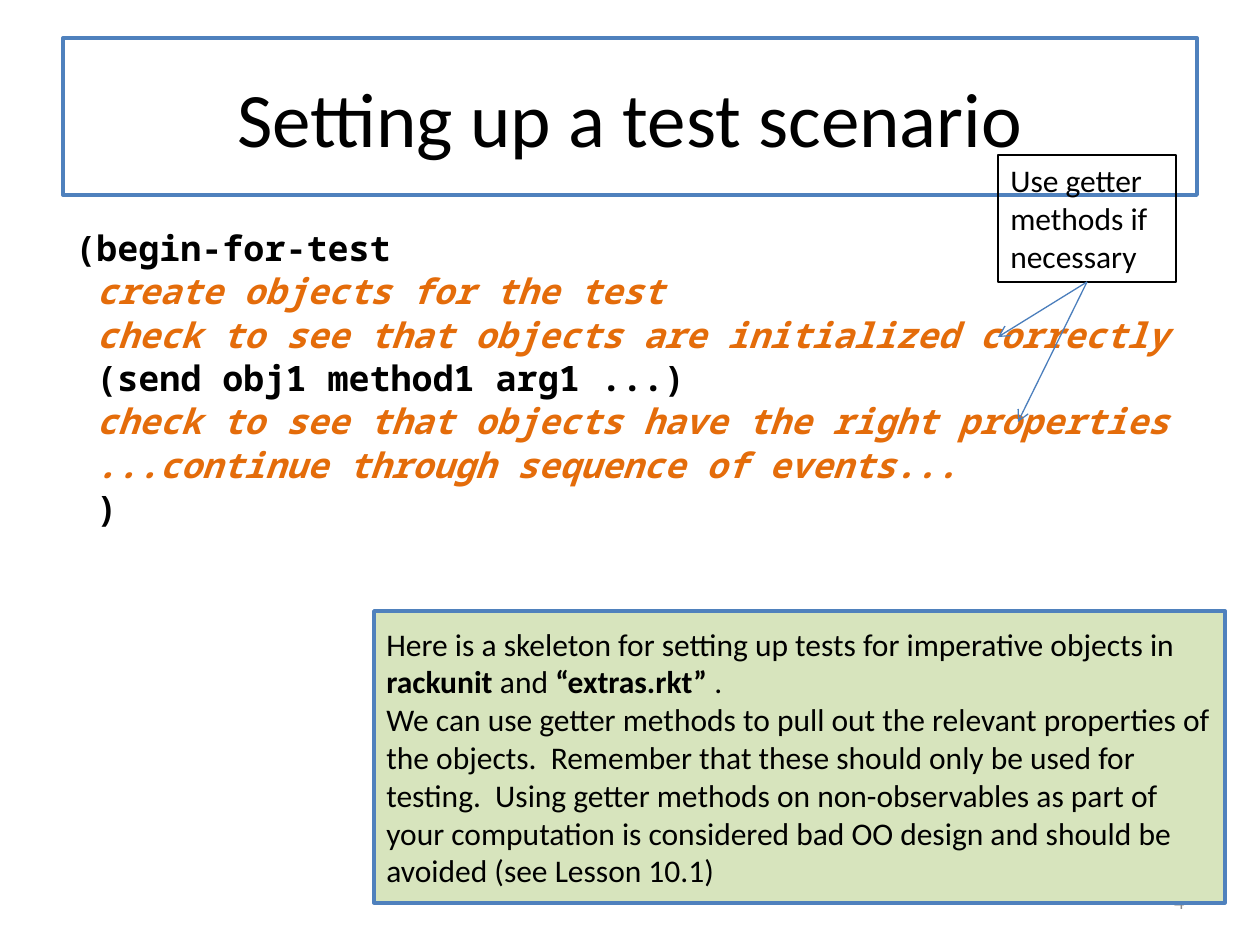
from lxml import etree
from pptx import Presentation
from pptx.dml.color import RGBColor
from pptx.enum.shapes import MSO_CONNECTOR, MSO_SHAPE
from pptx.enum.text import MSO_ANCHOR, PP_ALIGN
from pptx.oxml.ns import qn
from pptx.util import Pt

RECT, LINE = MSO_SHAPE.RECTANGLE, MSO_CONNECTOR.STRAIGHT
TOP, MID = MSO_ANCHOR.TOP, MSO_ANCHOR.MIDDLE
LEFT, MIDST, RIGHT = PP_ALIGN.LEFT, PP_ALIGN.CENTER, PP_ALIGN.RIGHT
PX = 914400 / 126
BLACK, BLUE, ORANGE = "000000", "4F81BD", "E46C0A"

TITLE = "Setting up a test scenario"
HINT = "Use getter methods if necessary"
CODE = [
    ("(begin-for-test", False),
    (" create objects for the test", True),
    (" check to see that objects are initialized correctly", True),
    (" (send obj1 method1 arg1 ...)", False),
    (" check to see that objects have the right properties", True),
    (" ...continue through sequence of events...", True),
    (" )", False),
]
NOTE = [
    [("Here is a skeleton for setting up tests for imperative objects in ", {}),
     ("rackunit", {"bold": True}), (" and ", {}),
     ("“extras.rkt”", {"bold": True}), (" .", {})],
    [("We can use getter methods to pull out the relevant properties of the "
      "objects.  Remember that these should only be used for testing.  Using "
      "getter methods on non-observables as part of your computation is "
      "considered bad OO design and should be avoided (see Lesson 10.1)", {})],
]
TIPS = [(998, 337), (1018, 422)]


def px(*nums):
    return [round(n * PX) for n in nums]


def color(code):
    return RGBColor.from_string(code)


def write(shape, paras, size, font="Calibri", align=LEFT, anchor=TOP, before=0):
    """Fill a shape with paragraphs, each a list of (text, style) runs."""
    frame = shape.text_frame
    frame.word_wrap = True
    frame.vertical_anchor = anchor
    for i, runs in enumerate(paras):
        para = frame.add_paragraph() if i else frame.paragraphs[0]
        para.alignment = align
        para.space_before = Pt(before)
        for text, style in runs:
            run = para.add_run()
            run.text = text
            face = run.font
            face.name, face.size = font, Pt(size)
            face.bold = style.get("bold", False)
            face.italic = style.get("italic", False)
            face.color.rgb = color(style.get("color", BLACK))


def box(slide, spot, line, width, fill=None):
    shape = slide.shapes.add_shape(RECT, *px(*spot))
    shape.shadow.inherit = False
    if fill:
        shape.fill.solid()
        shape.fill.fore_color.rgb = color(fill)
    else:
        shape.fill.background()
    shape.line.color.rgb = color(line)
    shape.line.width = Pt(width)
    return shape


def arrow(slide, start, tip):
    link = slide.shapes.add_connector(LINE, 0, 0, *px(*tip))
    link.begin_connect(start, 2)
    link.line.color.rgb = color("4B7EBC")
    link.line.width = Pt(0.75)
    props = link.line._get_or_add_ln()
    etree.SubElement(props, qn("a:tailEnd"), type="arrow")
    etree.SubElement(link._element.spPr, qn("a:effectLst"))


def main():
    deck = Presentation()
    deck.slide_width, deck.slide_height = px(1260, 945)
    slide = deck.slides.add_slide(deck.slide_layouts[6])

    title = box(slide, (63, 38, 1134, 157), BLUE, 2.25, "FFFFFF")
    write(title, [[(TITLE, {})]], 44, align=MIDST, anchor=MID)

    code = slide.shapes.add_textbox(*px(63, 220, 1134, 624))
    styles = {False: {"bold": True},
              True: {"bold": True, "italic": True, "color": ORANGE}}
    write(code, [[(text, styles[todo])] for text, todo in CODE],
          20, font="Noto Sans Mono", before=0.8)

    page = slide.shapes.add_textbox(*px(903, 876, 294, 50))
    write(page, [[("4", {"color": "8C8C8C"})]], 12, align=RIGHT, anchor=MID)

    hint = box(slide, (998, 155, 178, 127), BLACK, 0.75)
    write(hint, [[(HINT, {})]], 18)
    for tip in TIPS:
        arrow(slide, hint, tip)

    note = box(slide, (374, 611, 851, 292), BLUE, 2, "D7E4BD")
    write(note, NOTE, 18, anchor=MID)
    deck.save("out.pptx")


if __name__ == "__main__":
    main()
